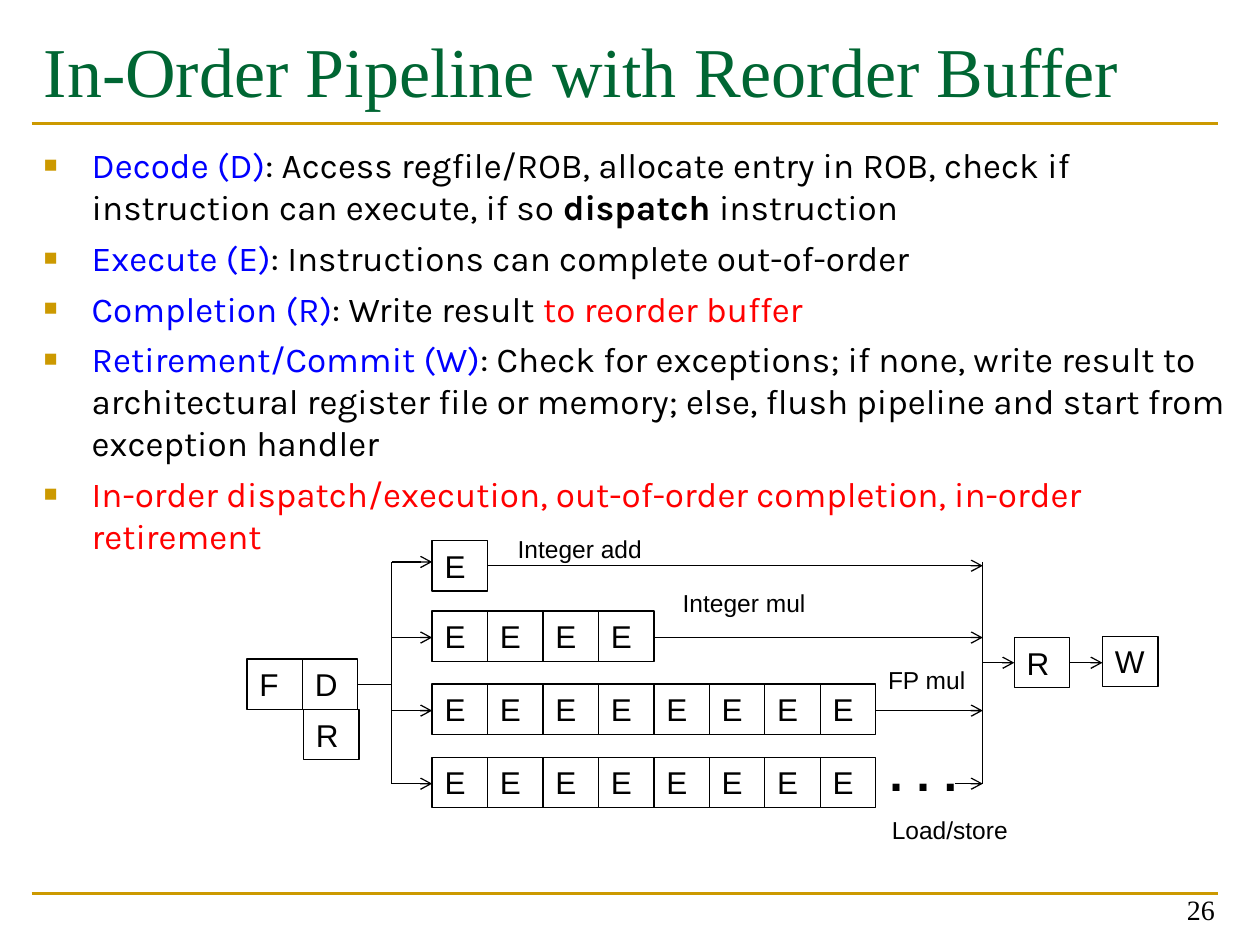
"""Build the slide on an in-order pipeline with a reorder buffer."""
from lxml import etree
from pptx import Presentation
from pptx.dml.color import RGBColor
from pptx.enum import shapes, text
from pptx.oxml import ns
from pptx.util import Inches, Pt

HUES = {"black": "000000", "white": "FFFFFF", "blue": "0000FF",
        "red": "FF0000", "gold": "CC9900", "green": "006633"}
TONE = {name: RGBColor.from_string(code) for name, code in HUES.items()}

deck = Presentation()
deck.slide_width, deck.slide_height = Inches(10), Inches(7.5)
slide = deck.slides.add_slide(deck.slide_layouts[6])


def line(start, end, tone="black", width=0.75, arrow=False):
    """Draw a straight line, with an open head at its end if asked."""
    ends = [Inches(n) for n in (*start, *end)]
    link = slide.shapes.add_connector(shapes.MSO_CONNECTOR.STRAIGHT, *ends)
    link.line.color.rgb = TONE[tone]
    link.line.width = Pt(width)
    if arrow:
        head = etree.SubElement(link.line._get_or_add_ln(), ns.qn("a:tailEnd"))
        head.set("type", "arrow")
    etree.SubElement(link._element.spPr, ns.qn("a:effectLst"))


def label(words, area, size, font="Arial", tone="black", cell=False):
    """Write one paragraph in a text box or in a framed cell."""
    area = [Inches(n) for n in area]
    if cell:
        box = slide.shapes.add_shape(shapes.MSO_SHAPE.RECTANGLE, *area)
        box.shadow.inherit = False
        box.fill.solid()
        box.fill.fore_color.rgb = TONE["white"]
        box.line.color.rgb = TONE["black"]
        box.line.width = Pt(0.75)
    else:
        box = slide.shapes.add_textbox(*area)
    frame = box.text_frame
    frame.word_wrap = True
    frame.vertical_anchor = text.MSO_ANCHOR.TOP
    para = frame.paragraphs[0]
    para.text = words
    para.alignment = text.PP_ALIGN.LEFT
    para.font.size = Pt(size)
    para.font.name = font
    para.font.color.rgb = TONE[tone]
    return frame


for y in (7.09, 0.98):
    line((0.25, y), (9.67, y), "gold", 1.5)

label("In-Order Pipeline with Reorder Buffer", (0.25, 0.22, 9.75, 1.12),
      40, "Times New Roman", "green").margin_top = 0

POINTS = [
    [("Decode (D)", "blue"),
     (": Access regfile/ROB, allocate entry in ROB, check if instruction can "
      "execute, if so ", "black"),
     ("dispatch", "black"), (" instruction", "black")],
    [("Execute (E)", "blue"),
     (": Instructions can complete out-of-order", "black")],
    [("Completion (R)", "blue"), (": Write result ", "black"),
     ("to reorder buffer", "red")],
    [("Retirement/Commit (W)", "blue"),
     (": Check for exceptions; if none, write result to architectural register "
      "file or memory; else, flush pipeline and start from exception handler",
      "black")],
    [("In-order dispatch/execution, out-of-order completion, in-order "
      "retirement", "red")],
]
body = slide.shapes.add_textbox(
    Inches(0.25), Inches(1.09), Inches(9.63), Inches(5.68)).text_frame
body.word_wrap = True
for i, parts in enumerate(POINTS):
    para = body.add_paragraph() if i else body.paragraphs[0]
    props = para._p.get_or_add_pPr()
    props.set("marL", str(Inches(0.38)))
    props.set("indent", str(Inches(-0.38)))
    hue = etree.SubElement(props, ns.qn("a:buClr"))
    etree.SubElement(hue, ns.qn("a:srgbClr")).set("val", HUES["gold"])
    etree.SubElement(props, ns.qn("a:buSzPct")).set("val", "65000")
    etree.SubElement(props, ns.qn("a:buFont")).set("typeface", "Arial")
    etree.SubElement(props, ns.qn("a:buChar")).set("char", "■")
    if i:
        para.space_before = Pt(5)
    para.font.size = Pt(20)
    para.font.name = "Karla"
    for words, tone in parts:
        run = para.add_run()
        run.text = words
        run.font.color.rgb = TONE[tone]
        if words == "dispatch":
            run.font.bold = True

page = label("26", (7.41, 6.9, 2.33, 0.5), 16, "Times New Roman")
page.vertical_anchor = text.MSO_ANCHOR.BOTTOM
page.paragraphs[0].alignment = text.PP_ALIGN.RIGHT

WIDE, HIGH = 0.44, 0.4
cells = [("F", 1.96, 5.23), ("D", 2.4, 5.23), ("R", 2.41, 5.63),
         ("R", 8.05, 5.06), ("W", 8.75, 5.05)]
for count, y in ((1, 4.29), (4, 4.85), (8, 5.43), (8, 6.01)):
    cells += [("E", 3.43 + n * WIDE, y) for n in range(count)]
for name, x, y in cells:
    label(name, (x, y, WIDE, HIGH), 18, cell=True)

dots = label(". . .", (6.96, 5.84, 0.8, 0.57), 28)
dots.paragraphs[0].font.bold = True

FORK, JOIN = 3.11, 7.8
line((2.84, 5.43), (FORK, 5.43))
for x in (FORK, JOIN):
    line((x, 4.46), (x, 6.22))
for y in (4.46, 5.06, 5.64, 6.22):
    line((FORK, y), (3.43, y), arrow=True)
for x, y in ((3.87, 4.49), (5.19, 5.06), (6.95, 5.64), (7.58, 6.22)):
    line((x, y), (JOIN, y), arrow=True)
for x, end in ((JOIN, 8.05), (8.49, 8.75)):
    line((x, 5.26), (end, 5.26), arrow=True)

for words, x, y, wide in (("Integer add", 4.01, 4.19, 1.3),
                          ("Integer mul", 5.32, 4.62, 1.3),
                          ("FP mul", 6.95, 5.23, 0.9),
                          ("Load/store", 6.98, 6.42, 1.34)):
    label(words, (x, y, wide, 0.34), 14)

deck.save("out.pptx")
